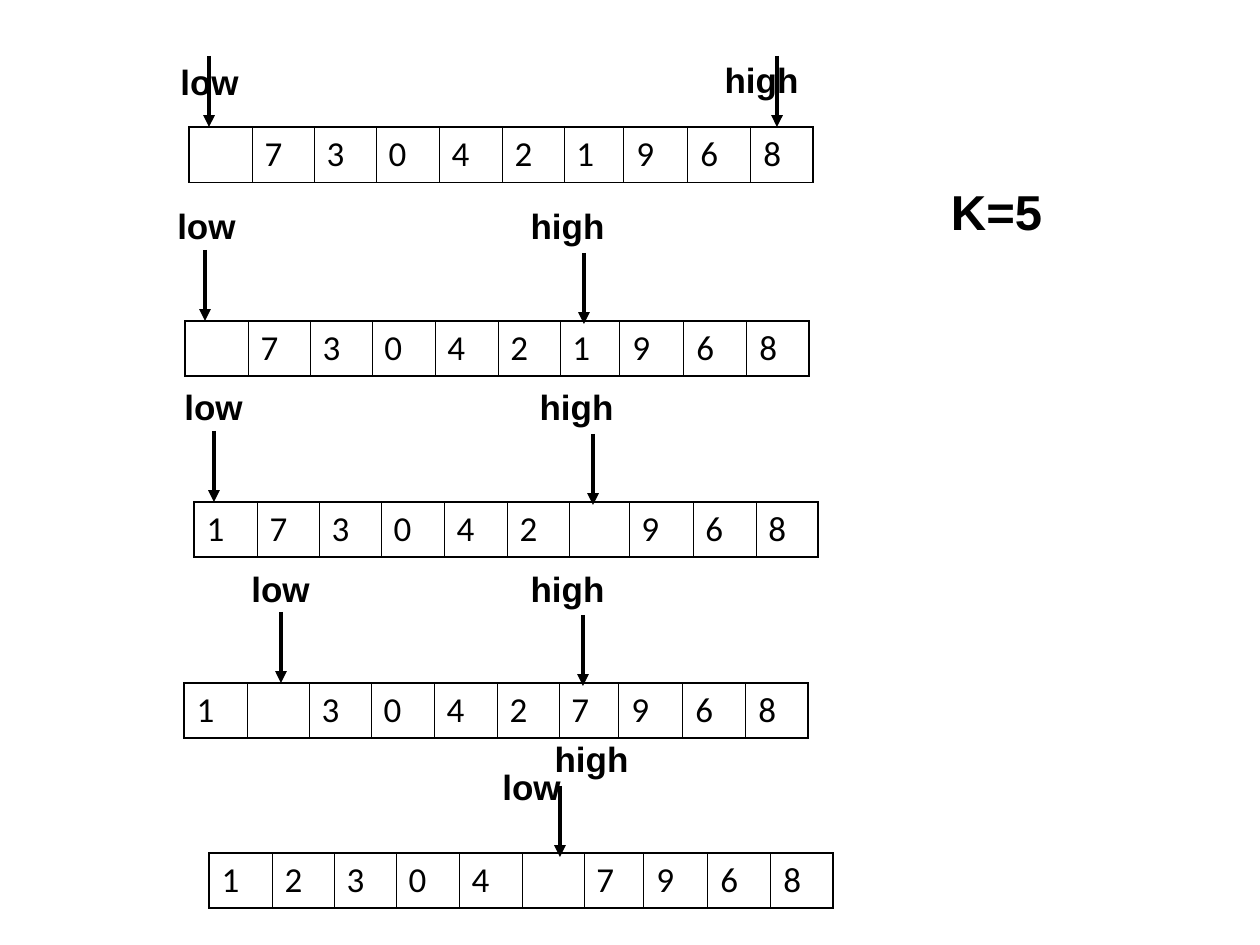
from lxml.etree import SubElement
from pptx import Presentation
from pptx.dml.color import RGBColor
from pptx.enum.shapes import MSO_CONNECTOR as Connector
from pptx.enum.text import MSO_AUTO_SIZE as AutoSize, PP_ALIGN as Align
from pptx.oxml.ns import qn
from pptx.util import Emu, Pt

PX = 914400 / 126
BLACK = "000000"
COLUMNS = [63, 62, 62, 63, 63, 62, 60, 64, 63, 62]
ROW_HEIGHT = 55
ARROW_LENGTH = 71
LABEL_WIDTH, LABEL_HEIGHT = 105, 55
THIN, THICK = 0.45, 1.08

# Each step: table corner, cell values (space = hole),
# labels (text, dx, dy) and arrow tips (dx, dy), both relative to that corner.
STEPS = [
    ((189, 127), " 730421968",
     [("low", -32, -73), ("high", 520, -75)], [(20, 0), (588, 0)]),
    ((185, 321), " 730421968",
     [("low", -31, -123), ("high", 330, -123)], [(20, 0), (399, 3)]),
    ((194, 502), "173042 968",
     [("low", -33, -123), ("high", 330, -123)], [(20, 0), (399, 3)]),
    ((184, 683), "1 30427968",
     [("low", 44, -122), ("high", 331, -122)], [(97, 0), (399, 3)]),
    ((209, 853), "12304 7968",
     [("low", 270, -94), ("high", 330, -122)], [(351, 4)]),
]


def px(value):
    return Emu(round(value * PX))


def color(hex_code):
    return RGBColor.from_string(hex_code)


def style_paragraph(para, font_name, size, before, bold=False):
    para.space_before = Pt(before)
    font = para.font
    font.name, font.size, font.bold = font_name, Pt(size), bold
    font.color.rgb = color(BLACK)


def add_label(page, text, left, top, width, height, size=20):
    box = page.shapes.add_textbox(px(left), px(top), px(width), px(height))
    frame = box.text_frame
    frame.word_wrap = True
    frame.auto_size = AutoSize.SHAPE_TO_FIT_TEXT
    para = frame.paragraphs[0]
    para.text = text
    para.alignment = Align.CENTER
    style_paragraph(para, "Arial", size, size * 0.625, bold=True)


def add_down_arrow(page, x, tip):
    arrow = page.shapes.add_connector(
        Connector.STRAIGHT, px(x), px(tip - ARROW_LENGTH), px(x), px(tip))
    arrow.line.color.rgb = color(BLACK)
    arrow.line.width = Pt(2.25)
    SubElement(arrow.line._get_or_add_ln(), qn("a:tailEnd"), type="triangle")
    SubElement(arrow._element.spPr, qn("a:effectLst"))


def set_borders(cell, widths):
    """Draw the cell's left, right, top and bottom borders, in that order."""
    properties = cell._tc.get_or_add_tcPr()
    for side, width in zip(("lnL", "lnR", "lnT", "lnB"), widths):
        line = SubElement(properties, qn(f"a:{side}"), w=str(Pt(width)))
        fill = SubElement(line, qn("a:solidFill"))
        SubElement(fill, qn("a:srgbClr"), val=BLACK)


def add_array(page, left, top, values):
    frame = page.shapes.add_table(1, len(COLUMNS), px(left), px(top),
                                  px(sum(COLUMNS)), px(ROW_HEIGHT))
    table = frame.table
    table.first_row = table.horz_banding = False
    table.rows[0].height = px(ROW_HEIGHT)
    last = len(COLUMNS) - 1
    for index, (width, value) in enumerate(zip(COLUMNS, values)):
        table.columns[index].width = px(width)
        cell = table.cell(0, index)
        cell.text = value.strip()
        style_paragraph(cell.text_frame.paragraphs[0], "Calibri", 20, 5)
        set_borders(cell, (THICK if index == 0 else THIN,
                           THICK if index == last else THIN, THICK, THICK))
        cell.fill.background()


def add_step(page, corner, values, labels, tips):
    left, top = corner
    add_array(page, left, top, values)
    for dx, dy in tips:
        add_down_arrow(page, left + dx, top + dy)
    for text, dx, dy in labels:
        add_label(page, text, left + dx, top + dy, LABEL_WIDTH, LABEL_HEIGHT)


def main():
    deck = Presentation()
    deck.slide_width, deck.slide_height = px(1260), px(945)
    page = deck.slides.add_slide(deck.slide_layouts[6])
    for step in STEPS:
        add_step(page, *step)
    add_label(page, "K=5", 842, 175, 309, 72, size=28)
    deck.save("out.pptx")


if __name__ == "__main__":
    main()
